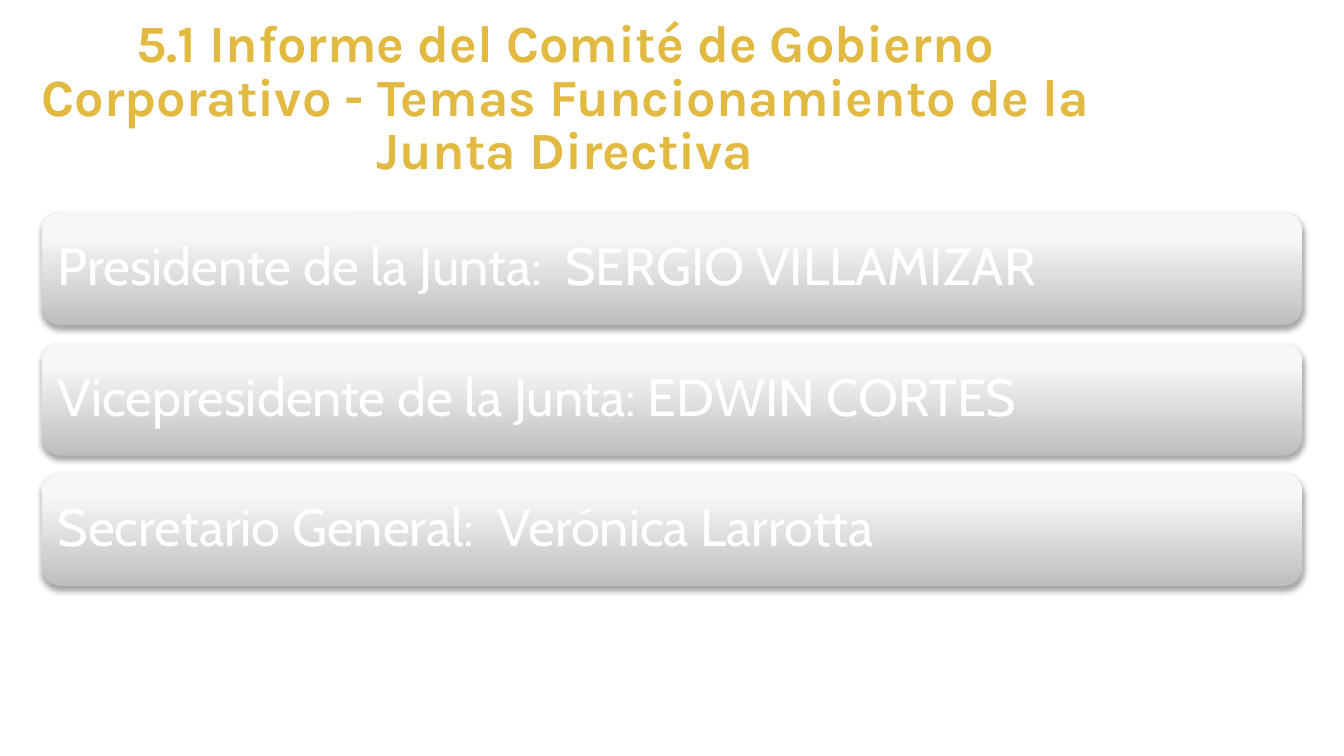
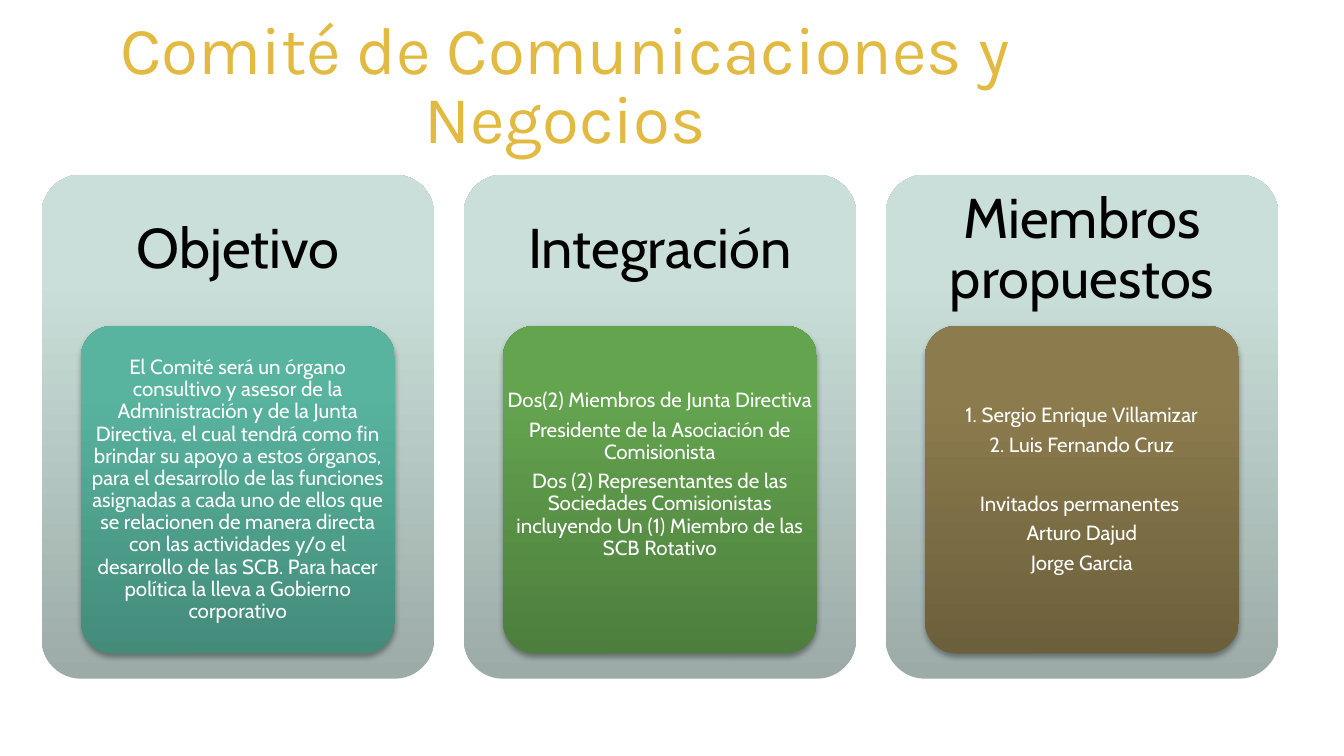
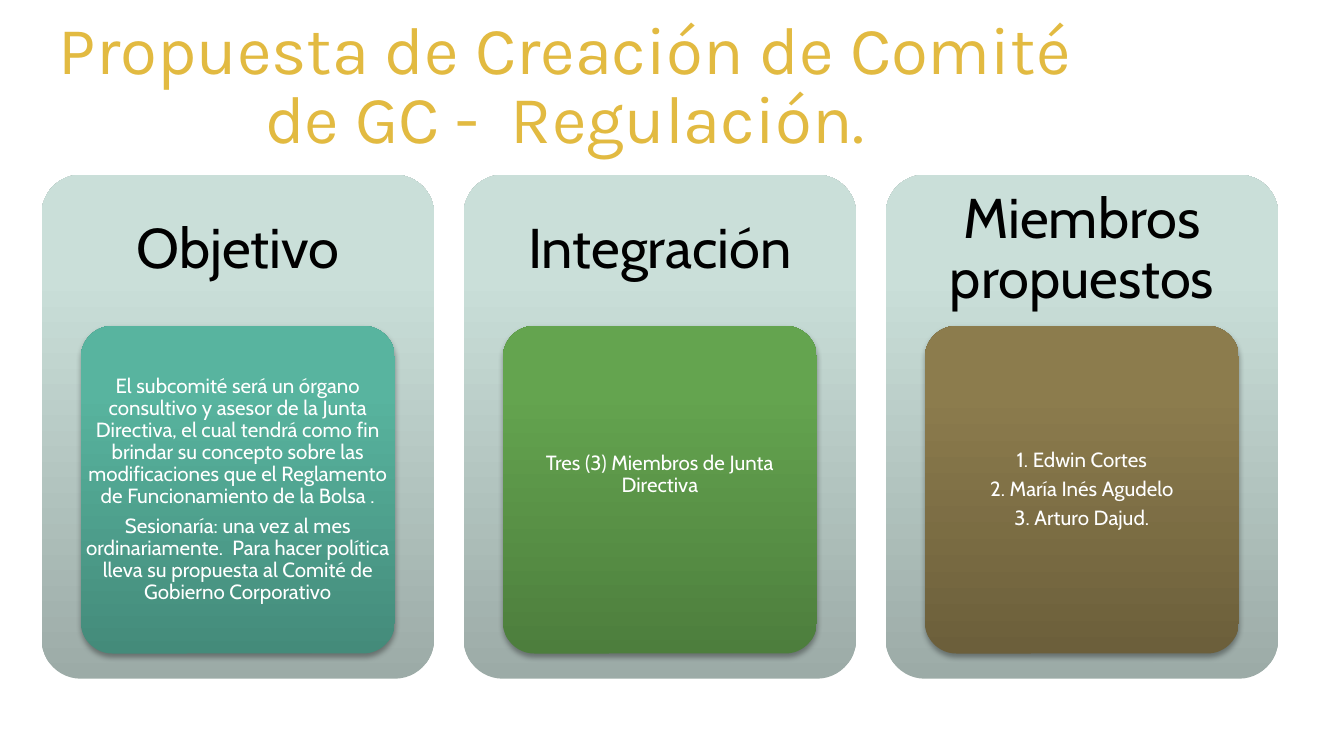
import lxml.etree
import pptx
import pptx.dml.color
import pptx.enum.shapes
import pptx.enum.text
import pptx.oxml.ns
import pptx.util

Inches, Pt = pptx.util.Inches, pptx.util.Pt
RGB = pptx.dml.color.RGBColor
ALIGN, ANCHOR = pptx.enum.text.PP_ALIGN, pptx.enum.text.MSO_ANCHOR
qn = pptx.oxml.ns.qn

# Colours: each gradient runs from bottom to top
GOLD = RGB(0xE2, 0xBA, 0x41)
WHITE = RGB(0xFF, 0xFF, 0xFF)
BLACK = RGB(0x00, 0x00, 0x00)
SILVER = (RGB(0xBE, 0xBE, 0xBE), RGB(0xF7, 0xF7, 0xF7), RGB(0xF8, 0xF8, 0xF8))
MIST = (RGB(0x9C, 0xAB, 0xA7), RGB(0xCA, 0xDF, 0xD9), RGB(0xCB, 0xE0, 0xDA))
TEAL = (RGB(0x44, 0x8B, 0x7A), RGB(0x58, 0xB4, 0x9F), RGB(0x57, 0xB7, 0xA0))
GREEN = (RGB(0x4D, 0x7E, 0x3D), RGB(0x64, 0xA4, 0x4F), RGB(0x64, 0xA6, 0x4E))
BROWN = (RGB(0x6C, 0x5F, 0x3B), RGB(0x8C, 0x7C, 0x4D), RGB(0x8E, 0x7D, 0x4C))
STOPS = (0, 80, 100)

# Grid, in inches, on a 16:9 slide
WIDTH = 10
HEIGHT = WIDTH * 9 / 16
MARGIN = 0.31
ROLE_TOP, ROLE_STEP, ROLE_HEIGHT = 1.58, 0.97, 0.84
PANEL_TOP, PANEL_STEP, PANEL_WIDTH, PANEL_HEIGHT = 1.3, 3.14, 2.92, 3.75

# Text styles
TITLE = {"name": "Karla", "size": Pt(36), "color": GOLD}
LONG_TITLE = {**TITLE, "size": Pt(28), "bold": True}
ROLE = {"name": "Cabin", "size": Pt(28), "color": WHITE}
HEADING = {"name": "Cabin", "size": Pt(30), "color": BLACK}
DETAIL = {"name": "Cabin", "size": Pt(11), "color": WHITE}
BLANK_LINE = 16  # points

COLUMNS = (("Objetivo", TEAL), ("Integración", GREEN), ("Miembros propuestos", BROWN))


def set_font(font, style):
    for key, value in style.items():
        if key == "color":
            font.color.rgb = value
        else:
            setattr(font, key, value)


def add_text(slide, area, lines, style, align=ALIGN.CENTER, anchor=ANCHOR.MIDDLE,
             inset=(0.12, 0.12), spacing=0.9, after=0.35, group_start=None, blank_below=0):
    """Write one paragraph per line; group_start is the index of a line set apart."""
    frame = slide.shapes.add_textbox(*map(Inches, area)).text_frame
    across, down = map(Inches, inset)
    layout = {"word_wrap": True, "vertical_anchor": anchor,
              "margin_left": across, "margin_right": across,
              "margin_top": down, "margin_bottom": down + Pt(blank_below)}
    for key, value in layout.items():
        setattr(frame, key, value)
    for index, line in enumerate(lines):
        paragraph = frame.add_paragraph() if index else frame.paragraphs[0]
        paragraph.alignment = align
        paragraph.line_spacing = spacing
        paragraph.space_after = int(style["size"] * after)
        if index == group_start:
            paragraph.space_before = Pt(BLANK_LINE)
        run = paragraph.add_run()
        run.text = line
        set_font(run.font, style)


def add_block(slide, area, gradient, corner, shadow=True):
    """Draw a rounded block with a vertical gradient."""
    block = slide.shapes.add_shape(
        pptx.enum.shapes.MSO_SHAPE.ROUNDED_RECTANGLE, *map(Inches, area))
    block.adjustments[0] = corner
    block.line.fill.background()
    block.shadow.inherit = False
    block.fill.gradient()
    block.fill.gradient_angle = 90
    properties = block.element.spPr
    stop_list = properties.find(".//" + qn("a:gsLst"))
    for stop in list(stop_list):
        stop_list.remove(stop)
    for position, color in zip(STOPS, gradient):
        stop = lxml.etree.SubElement(stop_list, qn("a:gs"), pos=str(position * 1000))
        lxml.etree.SubElement(stop, qn("a:srgbClr"), val=str(color))
    if shadow:
        outer = lxml.etree.SubElement(
            properties.find(qn("a:effectLst")), qn("a:outerShdw"),
            blurRad=str(Pt(3.1)), dist=str(Pt(1.8)), dir="5400000", rotWithShape="0")
        shade = lxml.etree.SubElement(outer, qn("a:srgbClr"), val=str(BLACK))
        lxml.etree.SubElement(shade, qn("a:alpha"), val="35000")


def add_titled_slide(deck, title, style=TITLE):
    slide = deck.slides.add_slide(deck.slide_layouts[6])
    add_text(slide, (MARGIN, 0.15, 7.79, 0.91), [title], style,
             anchor=ANCHOR.TOP, inset=(0, 0), spacing=0.85, after=0)
    return slide


def add_role(slide, row, role):
    area = (MARGIN, ROLE_TOP + row * ROLE_STEP, WIDTH - 2 * MARGIN, ROLE_HEIGHT)
    add_block(slide, area, SILVER, 0.17)
    add_text(slide, area, [role], ROLE, align=ALIGN.LEFT)


def add_panel(slide, column, heading, gradient, details):
    """Draw a panel with its heading and the card below it."""
    left = MARGIN + column * PANEL_STEP
    add_block(slide, (left, PANEL_TOP, PANEL_WIDTH, PANEL_HEIGHT), MIST, 0.1, shadow=False)
    add_text(slide, (left, PANEL_TOP, PANEL_WIDTH, 0.3 * PANEL_HEIGHT), [heading], HEADING)
    card = (left + 0.1 * PANEL_WIDTH, PANEL_TOP + 0.3 * PANEL_HEIGHT,
            0.8 * PANEL_WIDTH, 0.65 * PANEL_HEIGHT)
    add_block(slide, card, gradient, 0.1)
    add_text(slide, card, style=DETAIL, inset=(0.03, 0.02), **details)


def add_committee(deck, title, contents):
    slide = add_titled_slide(deck, title)
    for column, ((heading, gradient), details) in enumerate(zip(COLUMNS, contents)):
        add_panel(slide, column, heading, gradient, details)


def main():
    deck = pptx.Presentation()
    deck.slide_width, deck.slide_height = Inches(WIDTH), Inches(HEIGHT)

    # Board officers
    officers = add_titled_slide(
        deck, "5.1 Informe del Comité de Gobierno Corporativo - Temas Funcionamiento "
        "de la Junta Directiva", LONG_TITLE)
    for row, role in enumerate((
            "Presidente de la Junta:  SERGIO VILLAMIZAR",
            "Vicepresidente de la Junta: EDWIN CORTES",
            "Secretario General:  Verónica Larrotta")):
        add_role(officers, row, role)

    # Communications and business committee
    add_committee(deck, "Comité de Comunicaciones y Negocios", (
        {"lines": [
            "El Comité será un órgano consultivo y asesor de la Administración y de la "
            "Junta Directiva, el cual tendrá como fin brindar su apoyo a estos órganos, "
            "para el desarrollo de las funciones asignadas a cada uno de ellos que se "
            "relacionen de manera directa con las actividades y/o el desarrollo de las "
            "SCB. Para hacer política la lleva a Gobierno corporativo"]},
        {"lines": [
            "Dos(2) Miembros de Junta Directiva",
            "Presidente de la Asociación de Comisionista",
            "Dos (2) Representantes de las Sociedades Comisionistas incluyendo Un (1) "
            "Miembro de las SCB Rotativo"],
         "blank_below": BLANK_LINE},
        {"lines": [
            "1. Sergio Enrique Villamizar", "2. Luis Fernando Cruz",
            "Invitados permanentes ", "Arturo Dajud", "Jorge Garcia"],
         "group_start": 2}))

    # Regulation committee
    add_committee(deck, "Propuesta de Creación de Comité de GC -  Regulación.", (
        {"lines": [
            "El subcomité será un órgano consultivo y asesor de la Junta Directiva, el "
            "cual tendrá como fin brindar su concepto sobre las modificaciones que el "
            "Reglamento de Funcionamiento de la Bolsa .",
            "Sesionaría: una vez al mes ordinariamente.  Para hacer política lleva su "
            "propuesta al Comité de Gobierno Corporativo"]},
        {"lines": ["Tres (3) Miembros de Junta Directiva"], "blank_below": BLANK_LINE},
        {"lines": ["1. Edwin Cortes", "2. María Inés Agudelo", "3. Arturo Dajud."]}))

    deck.save("out.pptx")


if __name__ == "__main__":
    main()
